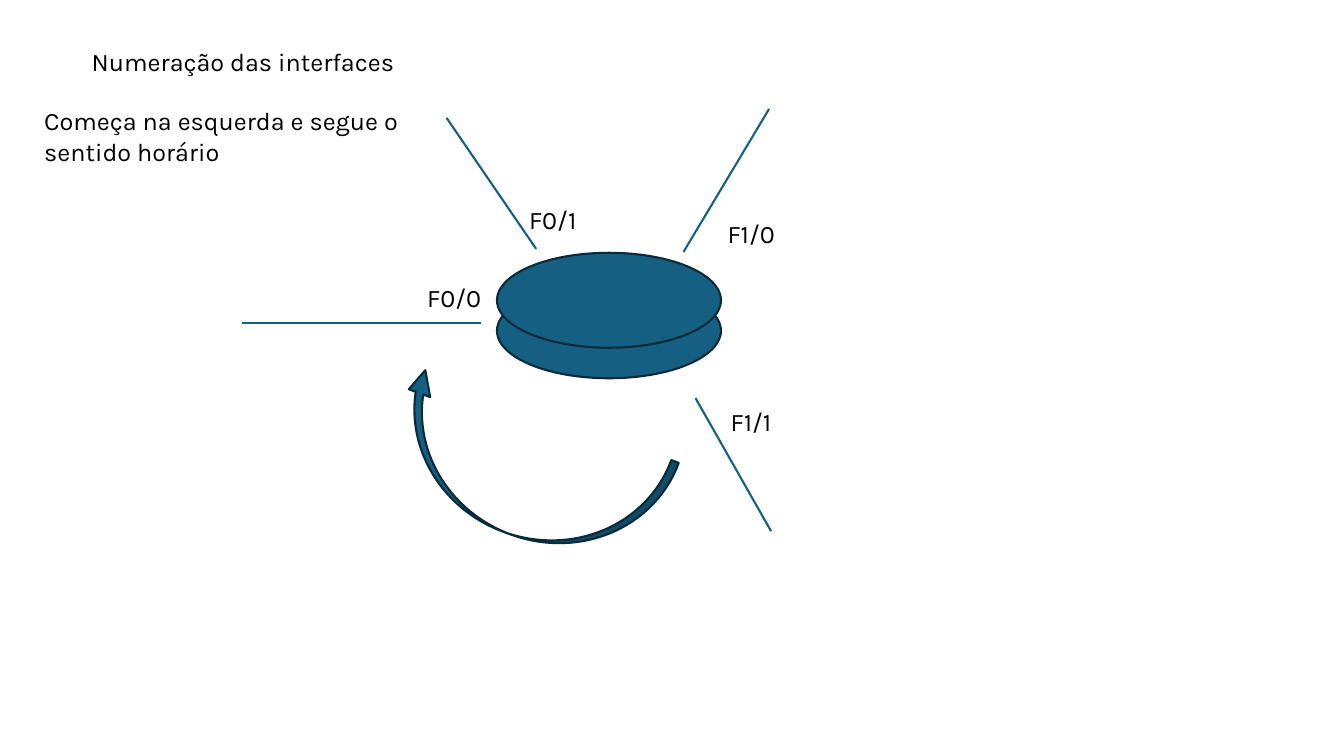
from dataclasses import dataclass

from lxml import etree
from pptx import Presentation
from pptx.dml.color import RGBColor
from pptx.enum.shapes import MSO_CONNECTOR, MSO_SHAPE
from pptx.enum.text import MSO_ANCHOR, MSO_AUTO_SIZE, PP_ALIGN
from pptx.oxml.ns import qn
from pptx.util import Pt

STRAIGHT = MSO_CONNECTOR.STRAIGHT
ELLIPSE = MSO_SHAPE.OVAL
CURVED_ARROW = MSO_SHAPE.CURVED_LEFT_ARROW
TOP = MSO_ANCHOR.TOP
GROW = MSO_AUTO_SIZE.SHAPE_TO_FIT_TEXT
LEFT = PP_ALIGN.LEFT
TITLE_ONLY = 5


@dataclass(frozen=True)
class Theme:
    font: str = "Karla"
    text_size: float = 18
    line_width: float = 1.5
    text: RGBColor = RGBColor(0x00, 0x00, 0x00)
    accent: RGBColor = RGBColor(0x15, 0x60, 0x82)
    outline: RGBColor = RGBColor(0x09, 0x2A, 0x39)


def set_text(frame, text, *, font, size, color):
    frame.word_wrap = True
    frame.auto_size = GROW
    frame.vertical_anchor = TOP
    frame.text = text
    paragraph = frame.paragraphs[0]
    paragraph.alignment = LEFT
    run_font = paragraph.runs[0].font
    run_font.name = font
    run_font.size = Pt(size)
    run_font.color.rgb = color


class SlideBuilder:
    def __init__(self, slide, theme):
        self.slide = slide
        self.theme = theme

    def fill_text(self, shape, text):
        """Put text into a shape in the theme's font, size and colour."""
        set_text(shape.text_frame, text, font=self.theme.font,
                 size=self.theme.text_size, color=self.theme.text)

    def title(self, text, left, top, width, height):
        shape = self.slide.shapes.title
        shape.left, shape.top = Pt(left), Pt(top)
        shape.width, shape.height = Pt(width), Pt(height)
        self.fill_text(shape, text)

    def text(self, text, left, top, width, height):
        box = self.slide.shapes.add_textbox(Pt(left), Pt(top), Pt(width), Pt(height))
        self.fill_text(box, text)

    def shape(self, kind, left, top, width, height, rotation=0, adjustments=()):
        shape = self.slide.shapes.add_shape(kind, Pt(left), Pt(top), Pt(width), Pt(height))
        shape.shadow.inherit = False
        shape.rotation = rotation
        for index, value in enumerate(adjustments):
            shape.adjustments[index] = value
        shape.fill.solid()
        shape.fill.fore_color.rgb = self.theme.accent
        shape.line.color.rgb = self.theme.outline
        shape.line.width = Pt(self.theme.line_width)

    def line(self, start, end):
        connector = self.slide.shapes.add_connector(STRAIGHT, *map(Pt, start + end))
        connector.line.color.rgb = self.theme.accent
        connector.line.width = Pt(self.theme.line_width)
        etree.SubElement(connector._element.spPr, qn("a:effectLst"))


def main():
    presentation = Presentation()
    presentation.slide_width, presentation.slide_height = Pt(960), Pt(540)
    slide = presentation.slides.add_slide(presentation.slide_layouts[TITLE_ONLY])
    builder = SlideBuilder(slide, Theme())

    builder.title("Numeração das interfaces", 58.3, 29.5, 296.6, 29.1)
    builder.text("Começa na esquerda e segue o sentido horário", 24.5, 72, 296.6, 51)

    for router_top in (202.4, 180.6):
        builder.shape(ELLIPSE, 355, router_top, 160, 67.8)

    # Each interface: name, label corner, line start, line end
    interfaces = [
        ("F0/0", (298.1, 198), (172.8, 230.4), (343.4, 230.4)),
        ("F0/1", (370.8, 142.6), (319, 84.2), (383, 177.8)),
        ("F1/0", (512.6, 152.6), (549.4, 77.8), (488.2, 180)),
        ("F1/1", (514.8, 286.6), (550.8, 379.4), (496.8, 284.4)),
    ]
    for name, corner, start, end in interfaces:
        builder.line(start, end)
        builder.text(name, *corner, 78.5, 29.1)

    builder.shape(CURVED_ARROW, 330.5, 237.6, 89.3, 200.9, rotation=110.1,
                  adjustments=(0.064, 0.182, 0.189))

    presentation.save("out.pptx")


if __name__ == "__main__":
    main()
